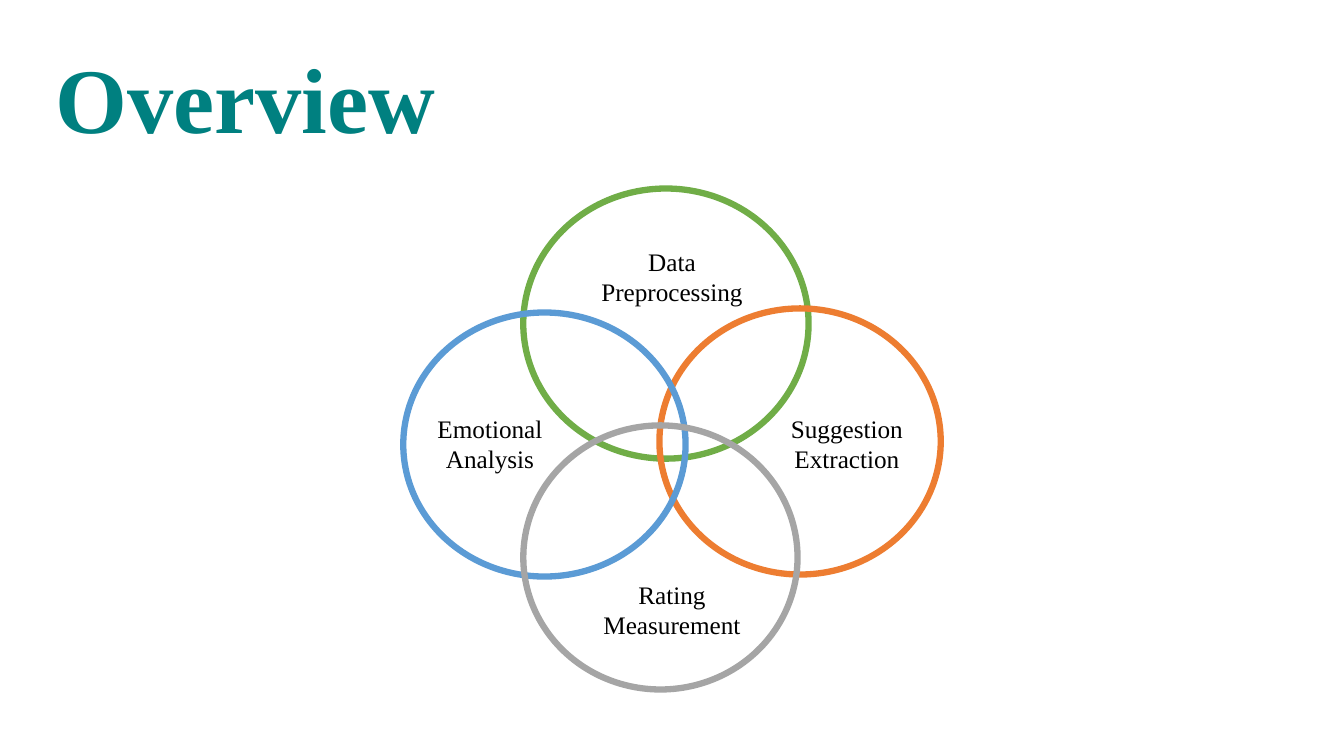
from pptx import Presentation
from pptx.dml.color import RGBColor
from pptx.enum.shapes import MSO_SHAPE
from pptx.enum.text import MSO_ANCHOR, PP_ALIGN
from pptx.util import Inches, Pt

OVAL = MSO_SHAPE.OVAL
LEFT, CENTER = PP_ALIGN.LEFT, PP_ALIGN.CENTER
TOP, BOTTOM = MSO_ANCHOR.TOP, MSO_ANCHOR.BOTTOM
TITLE_ONLY = 5


def color(value):
    return RGBColor.from_string(value)


class OverviewPage:
    font = "Times New Roman"
    title_color = "008080"
    text_color = "000000"
    ring_width = 4.5

    def __init__(self, deck):
        self.page = deck.slides.add_slide(deck.slide_layouts[TITLE_ONLY])

    def add_text(self, box, text, size, ink, bold, align, anchor):
        frame = box.text_frame
        frame.word_wrap = True
        frame.vertical_anchor = anchor
        para = frame.paragraphs[0]
        para.alignment = align
        span = para.add_run()
        span.text = text
        span.font.name = self.font
        span.font.size = Pt(size)
        span.font.bold = bold
        span.font.color.rgb = color(ink)

    def title(self, text, left, top, width, height):
        box = self.page.shapes.title
        box.left, box.top = Inches(left), Inches(top)
        box.width, box.height = Inches(width), Inches(height)
        self.add_text(box, text, 66, self.title_color, True, LEFT, BOTTOM)

    def ring(self, line, left, top, width, height, fill=None):
        oval = self.page.shapes.add_shape(
            OVAL, Inches(left), Inches(top), Inches(width), Inches(height))
        oval.shadow.inherit = False
        if fill:
            oval.fill.solid()
            oval.fill.fore_color.rgb = color(fill)
        else:
            oval.fill.background()
        oval.line.color.rgb = color(line)
        oval.line.width = Pt(self.ring_width)

    def label(self, text, left, top, width, height=0.62):
        box = self.page.shapes.add_textbox(
            Inches(left), Inches(top), Inches(width), Inches(height))
        box.text_frame.margin_left = box.text_frame.margin_right = 0
        self.add_text(box, text, 18, self.text_color, False, CENTER, TOP)


def main():
    deck = Presentation()
    deck.slide_width, deck.slide_height = Inches(13.33), Inches(7.5)
    overview = OverviewPage(deck)

    # Heading
    overview.title("Overview", 0.45, 0.35, 3.97, 1.21)

    # Overlapping rings: top, right, left, bottom
    overview.ring("70AD47", 5.19, 1.87, 2.83, 2.68, fill="FFFFFF")
    overview.ring("ED7D31", 6.54, 3.06, 2.79, 2.64)
    overview.ring("5B9BD5", 4, 3.1, 2.8, 2.62)
    overview.ring("A5A5A5", 5.19, 4.22, 2.72, 2.62)

    # Ring labels
    overview.label("Data Preprocessing", 5.86, 2.39, 1.61)
    overview.label("Emotional Analysis", 4.16, 4.05, 1.4)
    overview.label("Rating Measurement", 5.86, 5.7, 1.61)
    overview.label("Suggestion Extraction", 7.7, 4.05, 1.4)

    deck.save("out.pptx")


if __name__ == "__main__":
    main()
